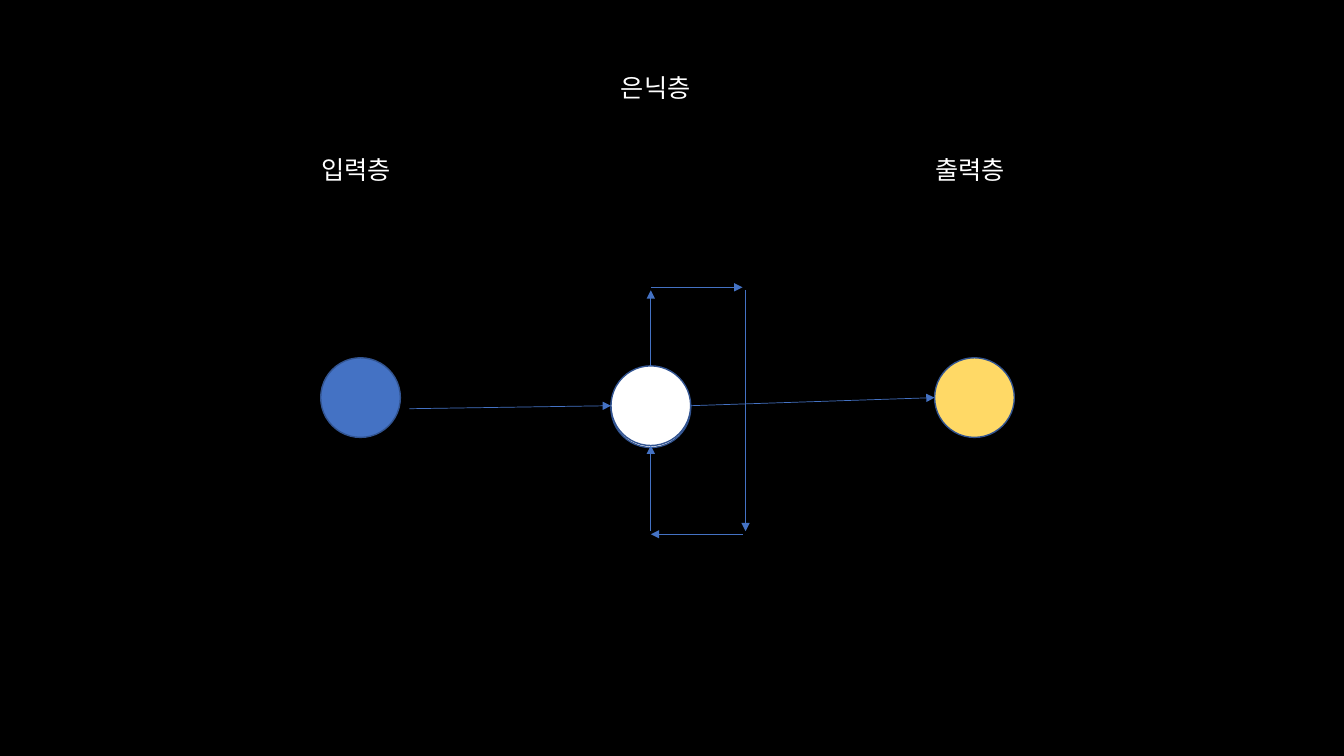
from pptx import Presentation
from pptx.dml.color import RGBColor
from pptx.enum.shapes import MSO_CONNECTOR as Conn, MSO_SHAPE as Shape
from pptx.enum.text import MSO_AUTO_SIZE as AutoSize
from pptx.oxml.ns import qn
from pptx.util import Inches, Pt
from lxml.etree import SubElement

COLORS = {"background": "000000", "text": "FFFFFF", "input": "4472C4",
          "hidden": "FFFFFF", "output": "FFD966", "outline": "325491",
          "arrow": "4472C4"}
WIDTH, HEIGHT = 13.33, 7.5
NODE = 0.79
LABEL_W, LABEL_H = 0.97, 0.4


def rgb(name):
    return RGBColor.from_string(COLORS[name])


def add_text(slide, text, left, top, size=18, color="text", font="Calibri"):
    sp = slide.shapes.add_textbox(*map(Inches, (left, top, LABEL_W, LABEL_H)))
    tf = sp.text_frame
    tf.word_wrap = True
    tf.auto_size = AutoSize.SHAPE_TO_FIT_TEXT
    r = tf.paragraphs[0].add_run()
    r.text = text
    r.font.size = Pt(size)
    r.font.name = font
    r.font.color.rgb = rgb(color)


def add_node(slide, left, top, color):
    sp = slide.shapes.add_shape(Shape.OVAL, *map(Inches, (left, top, NODE, NODE)))
    sp.shadow.inherit = False
    sp.fill.solid()
    sp.fill.fore_color.rgb = rgb(color)
    sp.line.color.rgb = rgb("outline")
    sp.line.width = Pt(1)


def add_arrow(slide, start, end):
    cn = slide.shapes.add_connector(Conn.STRAIGHT, *map(Inches, (*start, *end)))
    cn.line.color.rgb = rgb("arrow")
    cn.line.width = Pt(0.5)
    SubElement(cn.line._get_or_add_ln(), qn("a:tailEnd"), type="triangle")
    SubElement(cn._element.spPr, qn("a:effectLst"))


def add_layer(slide, box, text, color, label_dx=-0.09, node_offsets=(0,)):
    left, label_top, node_top = box
    for dy in node_offsets:
        add_node(slide, left, node_top + dy, color)
    add_text(slide, text, left + label_dx, label_top)


def add_feedback_loop(slide, left, top, width, height, node_top, gap=0.03):
    right, bottom = left + width, top + height
    for start, end in (
        ((left, node_top), (left, top + gap)),
        ((left, top), (right - gap, top)),
        ((right, top + gap), (right, bottom - gap)),
        ((right - gap, bottom), (left, bottom)),
        ((left, bottom - gap), (left, node_top + NODE)),
    ):
        add_arrow(slide, start, end)


def build_network(slide):
    input_x, hidden_x, output_x = (WIDTH * share for share in (0.2386, 0.4546, 0.6954))
    label_y, outer_y, hidden_y = (HEIGHT * share for share in (0.1973, 0.4733, 0.484))
    center_y = hidden_y + NODE / 2
    add_layer(slide, (input_x, label_y, outer_y), "입력층", "input")
    add_layer(slide, (hidden_x, HEIGHT * 0.0893, hidden_y), "은닉층", "hidden",
              label_dx=0, node_offsets=(0.02, 0))
    add_layer(slide, (output_x, label_y, outer_y), "출력층", "output")
    add_arrow(slide, (input_x + NODE + 0.09, center_y + 0.03), (hidden_x, center_y))
    add_arrow(slide, (hidden_x + NODE, center_y), (output_x, outer_y + NODE / 2))
    add_feedback_loop(slide, hidden_x + NODE / 2, HEIGHT * 0.38,
                      0.94, 2.45, hidden_y)


def main():
    prs = Presentation()
    prs.slide_width, prs.slide_height = Inches(WIDTH), Inches(HEIGHT)
    slide = prs.slides.add_slide(prs.slide_layouts[6])
    fill = slide.background.fill
    fill.solid()
    fill.fore_color.rgb = rgb("background")
    build_network(slide)
    prs.save("out.pptx")


if __name__ == "__main__":
    main()
